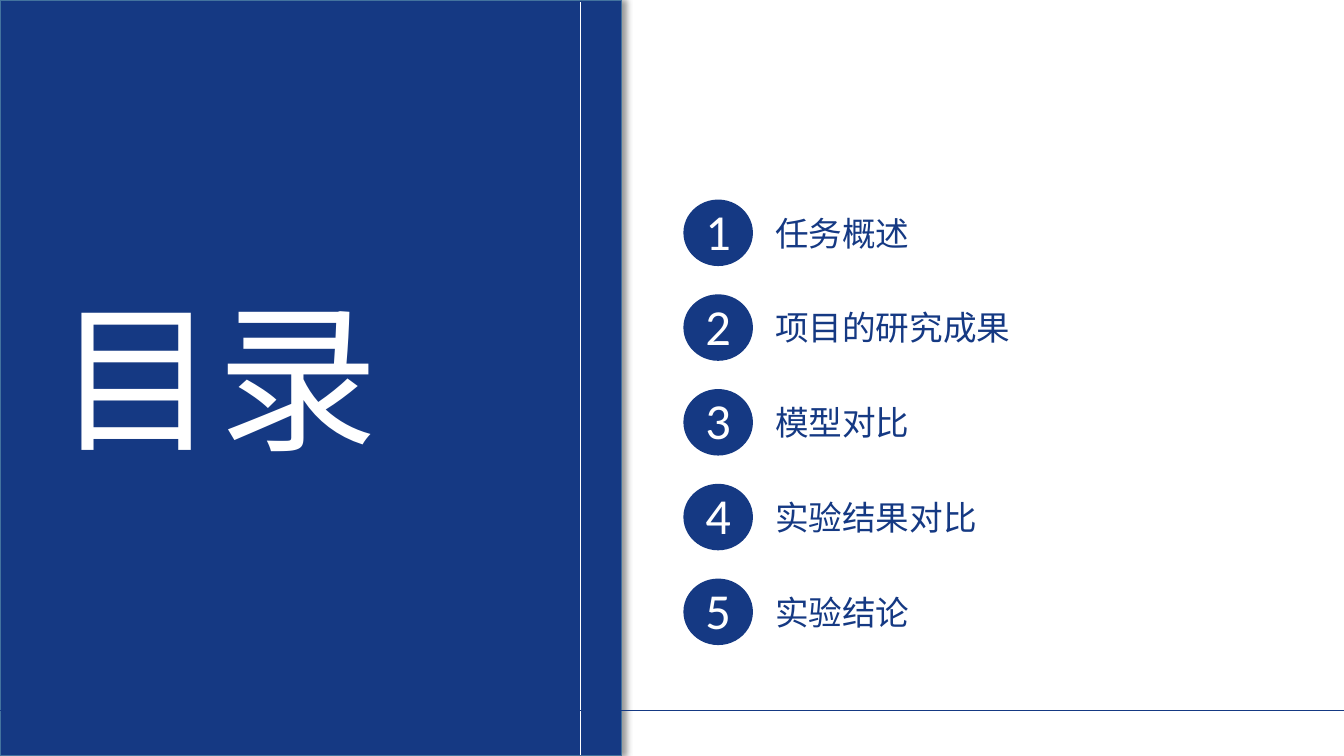
import dataclasses

import lxml.etree
import pptx
import pptx.dml.color
import pptx.enum.shapes
import pptx.enum.text
import pptx.oxml.ns
import pptx.util


@dataclasses.dataclass(frozen=True)
class Theme:
    blue: str = "153983"
    white: str = "FFFFFF"
    edge: str = "43739E"
    shadow: str = "000000"
    latin: str = "Calibri"
    chinese: str = "Noto Sans CJK SC"
    display_size: int = 115
    number_size: int = 36
    label_size: int = 24


THEME = Theme()
SHAPES = pptx.enum.shapes.MSO_SHAPE

# Grid: 40 columns by 30 rows over the whole slide
WIDTH, HEIGHT = pptx.util.Inches(13.33), pptx.util.Inches(7.5)
COLUMNS, ROWS = 40, 30
FIRST_ENTRY, ENTRY_PITCH = 7.92, 3.76
ENTRIES = ["任务概述", "项目的研究成果", "模型对比", "实验结果对比", "实验结论"]


def across(columns):
    return round(WIDTH * columns / COLUMNS)


def down(rows):
    return round(HEIGHT * rows / ROWS)


def box(left, top, width, height):
    return across(left), down(top), across(width), down(height)


def rgb(value):
    return pptx.dml.color.RGBColor.from_string(value)


def add_element(parent, tag, **attributes):
    name = pptx.oxml.ns.qn(tag)
    return lxml.etree.SubElement(parent, name, attributes)


def add_text(container, text, place, size, color, font=THEME.latin):
    shape = container.shapes.add_textbox(*box(*place))
    frame = shape.text_frame
    frame.word_wrap = True
    frame.auto_size = pptx.enum.text.MSO_AUTO_SIZE.SHAPE_TO_FIT_TEXT
    run = frame.paragraphs[0].add_run()
    run.text = text
    run.font.size = pptx.util.Pt(size)
    run.font.color.rgb = rgb(color)
    run.font.name = font
    add_element(run.font._element, "a:ea", typeface=font)


def add_filled(container, kind, place, edge=None):
    shape = container.shapes.add_shape(kind, *box(*place))
    shape.shadow.inherit = False
    shape.fill.solid()
    shape.fill.fore_color.rgb = rgb(THEME.blue)
    if edge:
        shape.line.color.rgb = rgb(edge)
        shape.line.width = pptx.util.Pt(1)
    else:
        shape.line.fill.background()
    return shape


def add_rule(slide, start, end, color):
    line = slide.shapes.add_connector(
        pptx.enum.shapes.MSO_CONNECTOR.STRAIGHT,
        across(start[0]), down(start[1]), across(end[0]), down(end[1]))
    line.line.color.rgb = rgb(color)
    line.line.width = pptx.util.Pt(0.5)
    add_element(line._element.spPr, "a:effectLst")


def add_panel(slide):
    panel = add_filled(slide, SHAPES.RECTANGLE, (0, 0, 18.5, ROWS), THEME.edge)
    effects = panel._element.spPr.find(pptx.oxml.ns.qn("a:effectLst"))
    shadow = add_element(effects, "a:outerShdw", blurRad=str(pptx.util.Pt(4)),
                         dist=str(pptx.util.Pt(3)), dir="0", algn="l",
                         rotWithShape="0")
    color = add_element(shadow, "a:srgbClr", val=THEME.shadow)
    add_element(color, "a:alpha", val="40000")


def add_entry(slide, index, label):
    top = FIRST_ENTRY + index * ENTRY_PITCH
    group = slide.shapes.add_group_shape()
    add_filled(group, SHAPES.OVAL, (20.34, top, 2.07, 2.64))
    add_text(group, label, (22.77, top + 0.32, 15.3, 2),
             THEME.label_size, THEME.blue, THEME.chinese)
    add_text(group, str(index + 1), (20.7, top - 0.18, 1.26, 2.84),
             THEME.number_size, THEME.white)


def main():
    presentation = pptx.Presentation()
    presentation.slide_width, presentation.slide_height = WIDTH, HEIGHT
    slide = presentation.slides.add_slide(presentation.slide_layouts[6])

    # Title panel
    add_panel(slide)
    add_text(slide, "目录", (1.38, 10.82, 13.77, 8.16),
             THEME.display_size, THEME.white)

    # Numbered entries
    for index, label in enumerate(ENTRIES):
        add_entry(slide, index, label)

    # Rules
    add_rule(slide, (17.28, 0.08), (17.28, 29.96), THEME.white)
    add_rule(slide, (0, 28.18), (COLUMNS, 28.18), THEME.blue)

    presentation.save("out.pptx")


if __name__ == "__main__":
    main()
